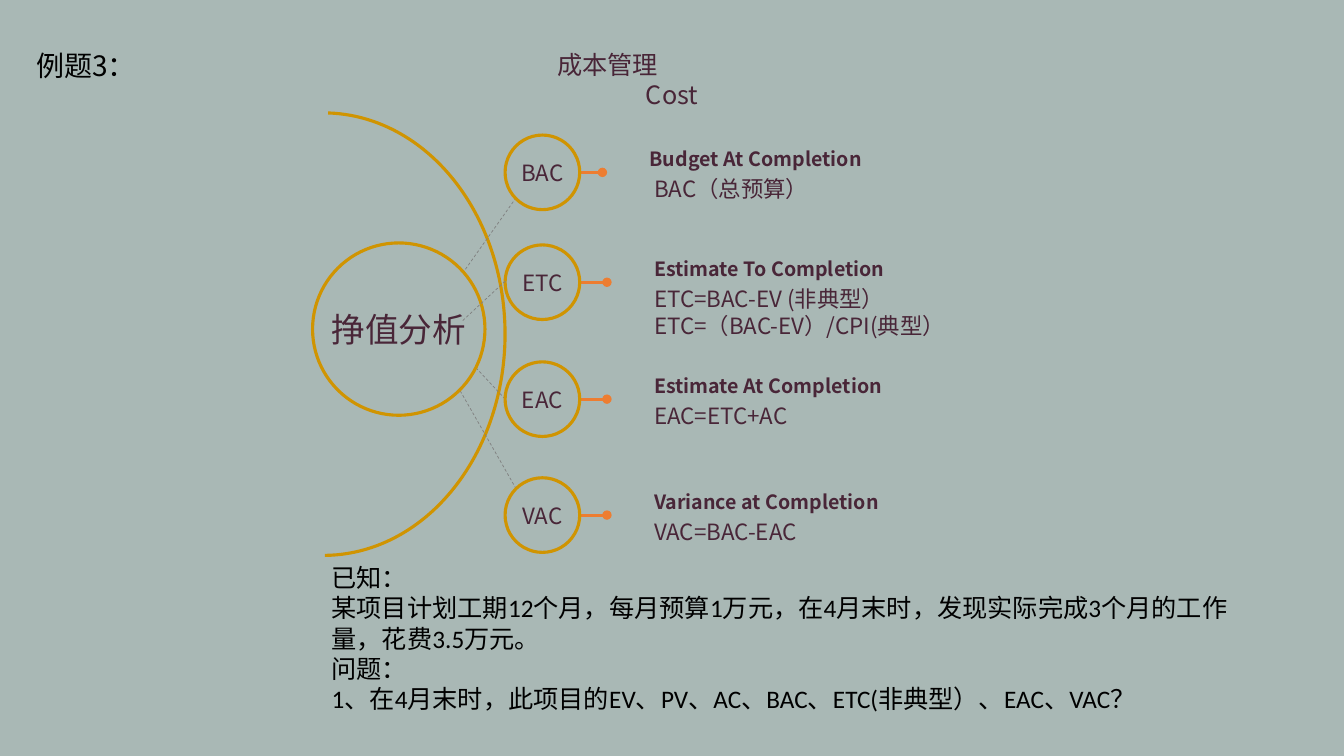
from dataclasses import dataclass
from typing import NamedTuple

from lxml import etree
from pptx import Presentation
from pptx.dml.color import RGBColor
from pptx.enum.dml import MSO_LINE
from pptx.enum.shapes import MSO_CONNECTOR, MSO_SHAPE
from pptx.enum.text import MSO_ANCHOR, MSO_AUTO_SIZE, PP_ALIGN
from pptx.oxml.ns import qn
from pptx.util import Inches, Pt

ARC, OVAL, LINE = MSO_SHAPE.ARC, MSO_SHAPE.OVAL, MSO_CONNECTOR.STRAIGHT
DASH, FIXED = MSO_LINE.DASH, MSO_AUTO_SIZE.NONE
TOP, MIDDLE = MSO_ANCHOR.TOP, MSO_ANCHOR.MIDDLE
LEFT, CENTER, JUSTIFY = PP_ALIGN.LEFT, PP_ALIGN.CENTER, PP_ALIGN.JUSTIFY
COLS, ROWS = 133.3, 75  # grid of tenth-inch cells


@dataclass(frozen=True)
class Theme:
    back: str = "A9B8B5"
    ink: str = "492638"
    black: str = "000000"
    gold: str = "D09401"
    rod: str = "ED7D31"
    spoke: str = "808080"
    sans: str = "Noto Sans CJK SC"
    serif: str = "Calibri"
    hub: int = 24
    title: int = 20
    body: int = 18
    note: int = 16
    head: int = 14
    thick: float = 2.25
    thin: float = 0.5
    lead: float = 1.2


class Box(NamedTuple):
    x: float
    y: float
    w: float
    h: float


class Term(NamedTuple):
    mid: float      # row of the node's centre
    shift: float    # nudge of rod and heading
    name: str
    head: str
    notes: tuple
    spoke: tuple    # outer end, inner end
    front: bool     # spoke lies over the hub


THEME = Theme()
TERMS = [
    Term(17.1, -0.45, "BAC", "Budget At Completion", ("BAC（总预算）",),
         (51.2, 19.6, 46.1, 26.8), False),
    Term(28, 0, "ETC", "Estimate To Completion",
         ("ETC=BAC-EV (非典型）", "ETC=（BAC-EV）/CPI(典型）"),
         (50.1, 27.9, 45.9, 31.8), True),
    Term(39.6, 0, "EAC", "Estimate At Completion", ("EAC=ETC+AC",),
         (50.1, 39.6, 44.9, 34), False),
    Term(51.1, 0, "VAC", "Variance at Completion", ("VAC=BAC-EAC",),
         (51.2, 48.5, 45.6, 38.7), False),
]
CASE = (
    "已知：",
    "某项目计划工期12个月，每月预算1万元，在4月末时，发现实际完成3个月的工作量，花费3.5万元。",
    "问题：",
    "1、在4月末时，此项目的EV、PV、AC、BAC、ETC(非典型）、EAC、VAC？",
)


def cells(*counts):
    return [Inches(n / 10) for n in counts]


def color(code):
    return RGBColor.from_string(code)


def write(frame, lines, size, ink=THEME.ink, face=THEME.sans,
          bold=False, aligns=(LEFT,), lead=None):
    frame.text = "\n".join(lines)
    for i, par in enumerate(frame.paragraphs):
        par.alignment = aligns[i % len(aligns)]
        if lead:
            par.line_spacing = Pt(size * lead)
        font = par.font
        font.name, font.size, font.bold = face, Pt(size), bold
        font.color.rgb = color(ink)


def label(slide, box, lines, size, lead=THEME.lead, **style):
    frame = slide.shapes.add_textbox(*cells(*box)).text_frame
    frame.word_wrap = True
    write(frame, lines, size, lead=lead, **style)


def stroke(slide, ends, ink, width, dash=None, dots=False):
    link = slide.shapes.add_connector(LINE, *cells(*ends))
    link.line.color.rgb, link.line.width = color(ink), Pt(width)
    if dash:
        link.line.dash_style = dash
    if dots:
        pen = link.line._get_or_add_ln()
        for end in ("a:headEnd", "a:tailEnd"):
            etree.SubElement(pen, qn(end)).set("type", "oval")
    etree.SubElement(link._element.spPr, qn("a:effectLst"))


def outline(slide, kind, box):
    shape = slide.shapes.add_shape(kind, *cells(*box))
    shape.shadow.inherit = False
    shape.line.color.rgb, shape.line.width = color(THEME.gold), Pt(THEME.thick)
    return shape


def ring(slide, box, text, size):
    shape = outline(slide, OVAL, box)
    shape.fill.solid()
    shape.fill.fore_color.rgb = color(THEME.back)
    frame = shape.text_frame
    frame.word_wrap, frame.vertical_anchor = False, MIDDLE
    write(frame, [text], size, aligns=(CENTER,))


def title(slide, box, text):
    shape = slide.shapes.title
    shape.left, shape.top, shape.width, shape.height = cells(*box)
    frame = shape.text_frame
    frame.auto_size, frame.vertical_anchor = FIXED, TOP
    write(frame, [text], THEME.title, ink=THEME.black, lead=THEME.lead)


def bow(slide, box):
    shape = outline(slide, ARC, box)
    shape.fill.background()
    for i, angle in enumerate((271.19, 89.67)):
        shape.adjustments[i] = angle * 0.6


def spokes(slide, front):
    for term in TERMS:
        if term.front == front:
            stroke(slide, term.spoke, THEME.spoke, THEME.thin, DASH)


def branch(slide, box, term):
    """Node, rod and texts of one term; the box spans the whole row."""
    x, y, w, h = box
    mid, near = y + h / 2, x + term.shift
    stroke(slide, (near + 3.5, mid, near + 10.1, mid),
           THEME.rod, THEME.thick, dots=True)
    ring(slide, Box(x, y, h, h), term.name, THEME.note)
    label(slide, Box(near + 13.8, mid - 3, 38, 3.4), [term.head],
          THEME.head, bold=True)
    label(slide, Box(x + 13.8, mid - 0.2, w - 13.8, 1 + 2.7 * len(term.notes)),
          term.notes, THEME.note)


def diagram(slide, box):
    x, y, w, h = box
    bow(slide, Box(x, y, 36, h))
    spokes(slide, False)
    ring(slide, Box(x + 16.9, y + 12.9, 17.1, 17.1), "挣值分析", THEME.hub)
    for term in TERMS:
        branch(slide, Box(x + 36, term.mid - 3.7, w - 36, 7.4), term)
    spokes(slide, True)


def main():
    deck = Presentation()
    deck.slide_width, deck.slide_height = cells(COLS, ROWS)
    slide = deck.slides.add_slide(deck.slide_layouts[5])
    fill = slide.background.fill
    fill.solid()
    fill.fore_color.rgb = color(THEME.back)
    title(slide, Box(2.6, 4.3, 24.7, 4.4), "例题3：")
    label(slide, Box(54.3, 4.4, 24.7, 7.1), ["成本管理", "Cost"],
          THEME.body, aligns=(JUSTIFY, CENTER))
    diagram(slide, Box(14.1, 11.2, 104.4, 43.9))
    label(slide, Box(31.9, 55.3, 92.5, 19.2), CASE, THEME.body,
          lead=None, ink=THEME.black, face=THEME.serif)
    deck.save("out.pptx")


if __name__ == "__main__":
    main()
